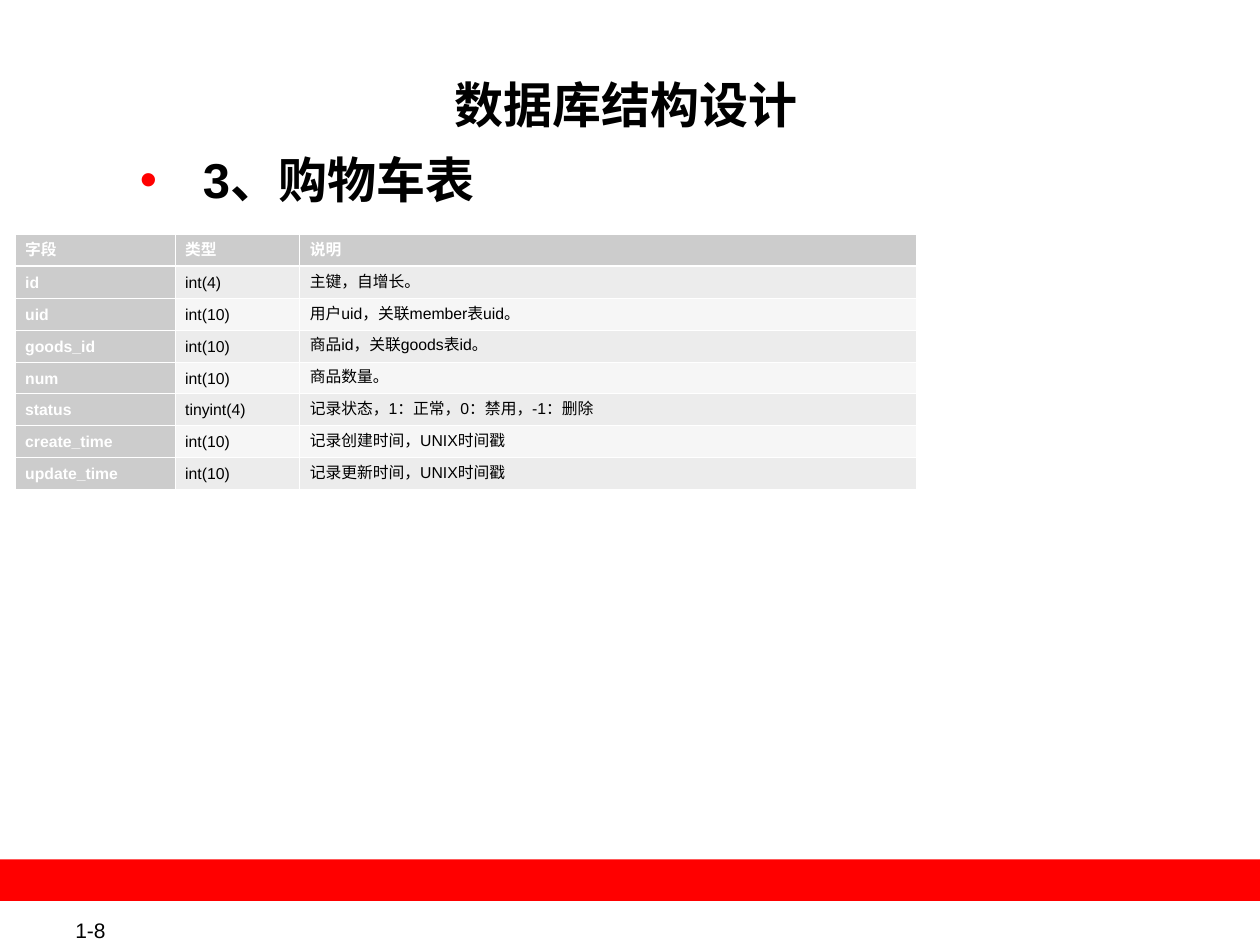
from lxml import etree
from pptx import Presentation
from pptx.dml.color import RGBColor
from pptx.enum import shapes, text
from pptx.oxml import ns
from pptx.util import Inches, Pt

TITLE = "数据库结构设计"
SUBTITLE = "3、购物车表"
PAGE_NUMBER = "1-8"
FIELDS = [
    ("字段", "类型", "说明"),
    ("id", "int(4)", "主键，自增长。"),
    ("uid", "int(10)", "用户uid，关联member表uid。"),
    ("goods_id", "int(10)", "商品id，关联goods表id。"),
    ("num", "int(10)", "商品数量。"),
    ("status", "tinyint(4)", "记录状态，1：正常，0：禁用，-1：删除"),
    ("create_time", "int(10)", "记录创建时间，UNIX时间戳"),
    ("update_time", "int(10)", "记录更新时间，UNIX时间戳"),
]
COLUMN_WIDTHS = (1.27, 0.99, 4.89)
ROW_HEIGHT = 0.22
COLORS = {"red": "FF0000", "black": "000000", "white": "FFFFFF",
          "header": "CCCCCC", "odd": "ECECEC", "even": "F6F6F6"}


def rgb(name):
    return RGBColor.from_string(COLORS[name])


def apply(target, values):
    for name, value in values.items():
        setattr(target, name, value)


def write(frame, words, size, color="black", bold=False, **paragraph_format):
    para = frame.paragraphs[0]
    apply(para, paragraph_format)
    span = para.add_run()
    span.text = words
    apply(span.font, {"name": "Arial", "size": Pt(size), "bold": bold})
    span.font.color.rgb = rgb(color)
    return para


def place(box, left, top, width, height):
    apply(box, {"left": Inches(left), "top": Inches(top),
                "width": Inches(width), "height": Inches(height)})
    margins = dict.fromkeys(
        ("margin_left", "margin_top", "margin_right", "margin_bottom"), Inches(0.01))
    apply(box.text_frame, {**margins, "word_wrap": True,
                           "auto_size": text.MSO_AUTO_SIZE.NONE,
                           "vertical_anchor": text.MSO_ANCHOR.TOP})


def add_bullet(para, color):
    properties = para._p.get_or_add_pPr()
    properties.set("marL", str(Inches(0.63)))
    properties.set("indent", str(Inches(-0.5)))
    bullet_color = etree.SubElement(properties, ns.qn("a:buClr"))
    etree.SubElement(bullet_color, ns.qn("a:srgbClr"), val=COLORS[color])
    etree.SubElement(properties, ns.qn("a:buFont"), typeface="Arial")
    etree.SubElement(properties, ns.qn("a:buChar"), char="•")


def add_borders(cell, widths):
    properties = cell._tc.get_or_add_tcPr()
    for side, width in widths.items():
        line = etree.SubElement(properties, ns.qn(f"a:ln{side}"), w=str(Pt(width)))
        fill = etree.SubElement(line, ns.qn("a:solidFill"))
        etree.SubElement(fill, ns.qn("a:srgbClr"), val=COLORS["white"])


def add_field_table(page):
    table = page.shapes.add_table(
        len(FIELDS), len(COLUMN_WIDTHS), Inches(0.12), Inches(1.86),
        Inches(sum(COLUMN_WIDTHS)), Inches(ROW_HEIGHT * len(FIELDS))).table
    for column, width in zip(table.columns, COLUMN_WIDTHS):
        column.width = Inches(width)
    for r, values in enumerate(FIELDS):
        table.rows[r].height = Inches(ROW_HEIGHT)
        for c, words in enumerate(values):
            cell = table.cell(r, c)
            is_header = r == 0 or c == 0
            apply(cell, {"margin_left": Inches(0.08), "margin_right": Inches(0.08),
                         "margin_top": Inches(0.05), "margin_bottom": Inches(0.05)})
            add_borders(cell, {"L": 0.45, "R": 0.45,
                               "T": 1.47 if r == 1 else 0.45,
                               "B": 1.47 if r == 0 else 0.45})
            cell.fill.solid()
            band = "odd" if r % 2 else "even"
            cell.fill.fore_color.rgb = rgb("header" if is_header else band)
            write(cell.text_frame, words, 9, "white" if is_header else "black",
                  is_header, line_spacing=Pt(11))


def main():
    deck = Presentation()
    apply(deck, {"slide_width": Inches(10), "slide_height": Inches(7.5)})
    page = deck.slides.add_slide(deck.slide_layouts[1])

    title, body = page.placeholders
    place(title, 0.97, 0.58, 8, 0.6)
    write(title.text_frame, TITLE, 28, bold=True,
          alignment=text.PP_ALIGN.CENTER, space_before=Pt(7))
    place(body, 0.97, 1.18, 8.06, 0.5)
    heading = write(body.text_frame, SUBTITLE, 28, bold=True,
                    level=1, space_before=Pt(7))
    add_bullet(heading, "red")

    add_field_table(page)

    band = page.shapes.add_shape(shapes.MSO_SHAPE.RECTANGLE, Inches(0),
                                 Inches(6.82), Inches(10), Inches(0.33))
    band.shadow.inherit = False
    band.fill.solid()
    band.fill.fore_color.rgb = rgb("red")
    band.line.fill.background()

    number = page.shapes.add_textbox(Inches(0.5), Inches(7.28), Inches(1.06), Inches(0.2))
    apply(number.text_frame, {"word_wrap": True,
                              "vertical_anchor": text.MSO_ANCHOR.MIDDLE})
    write(number.text_frame, PAGE_NUMBER, 12, alignment=text.PP_ALIGN.JUSTIFY)

    deck.save("out.pptx")


if __name__ == "__main__":
    main()
